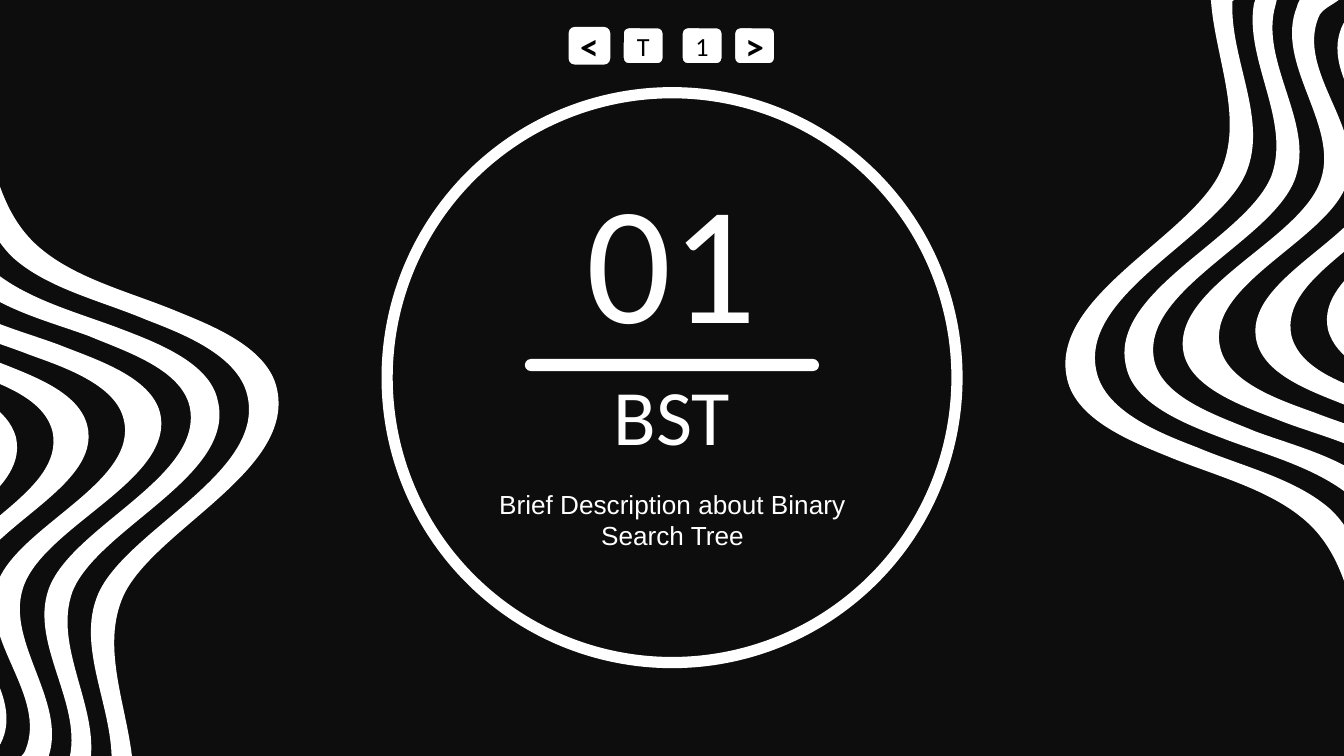
from dataclasses import dataclass
from typing import Optional

from lxml.etree import SubElement
from pptx import Presentation
from pptx.dml.color import RGBColor
from pptx.enum.shapes import MSO_SHAPE as Preset
from pptx.enum.text import MSO_ANCHOR as Anchor, MSO_AUTO_SIZE as AutoSize, PP_ALIGN as Align
from pptx.oxml.ns import qn
from pptx.util import Pt


@dataclass(frozen=True)
class Theme:
    night: RGBColor = RGBColor(0x0D, 0x0D, 0x0D)
    white: RGBColor = RGBColor(0xFF, 0xFF, 0xFF)
    black: RGBColor = RGBColor(0, 0, 0)
    heading_font: str = "Calibri"
    body_font: str = "Arial"
    number_size: float = 90
    title_size: float = 42
    body_size: float = 14
    arrow_size: float = 20


@dataclass(frozen=True)
class Box:
    left: float
    top: float
    width: float
    height: float

    def lengths(self) -> tuple:
        return Pt(self.left), Pt(self.top), Pt(self.width), Pt(self.height)


@dataclass(frozen=True)
class TextStyle:
    font: str
    size: float
    color: RGBColor
    bold: bool = False
    line_spacing: Optional[float] = None
    anchor: Anchor = Anchor.MIDDLE
    inset: float = 7.2


@dataclass(frozen=True)
class Key:
    label: str
    left: float
    arrow: bool = False
    outlined: bool = True


THEME = Theme()
SLIDE_W, SLIDE_H = 720, 405

# Waves use a grid of 0.72 pt, so the slide is 1000 units wide
GRID = Pt(0.72)
TURN_X, TURN_Y = 1000, 571
WAVE_COUNT = 5
MIDDLE_EDGE, LAST_EDGE = 4, 2 * WAVE_COUNT - 1

# Three guide edges: a start, then Bezier triples (control, control, end).
# The edges between them are blended.
OUTER = [(-178, 14), (-130, 10), (-72, 9), (-45, 25), (-3, 66), (-18, 142), (28, 183),
         (55, 207), (96, 217), (130, 231), (157, 242), (199, 258), (206, 289),
         (220, 350), (115, 394), (92, 443), (74, 483), (96, 528), (99, 571),
         (99, 571), (99, 571), (99, 571)]
MIDDLE = [(-178, 75), (-150, 70), (-115, 70), (-93, 84), (-54, 116), (-76, 183), (-42, 217),
          (-20, 238), (16, 246), (45, 257), (70, 267), (112, 280), (119, 307),
          (131, 357), (31, 392), (17, 438), (4, 479), (52, 524), (35, 566),
          (35, 567), (34, 569), (33, 571)]
INNER = [(-178, 145), (-171, 147), (-164, 149), (-158, 154), (-128, 178), (-157, 229), (-134, 258),
         (-121, 274), (-94, 282), (-68, 290), (-43, 299), (-20, 309), (-15, 331),
         (-6, 373), (-81, 395), (-85, 434), (-88, 467), (-35, 494), (-47, 527),
         (-55, 550), (-89, 557), (-114, 571)]

KEYS = [
    Key("1", 365),
    Key("T", 333.4),
    Key("<", 304.6, arrow=True, outlined=False),
    Key(">", 393.1, arrow=True),
]
KEY_TOP, KEY_W, KEY_H = 14.4, 22.3, 20.2


def paint(shape, fill: RGBColor, line: Optional[RGBColor] = None, weight: float = 0) -> None:
    shape.shadow.inherit = False
    shape.fill.solid()
    shape.fill.fore_color.rgb = fill
    if line is None:
        shape.line.fill.background()
    else:
        shape.line.color.rgb = line
        shape.line.width = Pt(weight)


def write(shape, text: str, style: TextStyle) -> None:
    frame = shape.text_frame
    frame.text = text
    frame.word_wrap = True
    frame.auto_size = AutoSize.NONE
    frame.vertical_anchor = style.anchor
    frame.margin_left = frame.margin_right = Pt(style.inset)
    frame.margin_top = frame.margin_bottom = Pt(style.inset)
    paragraph = frame.paragraphs[0]
    paragraph.alignment = Align.CENTER
    if style.line_spacing:
        paragraph.line_spacing = style.line_spacing
    font = paragraph.runs[0].font
    font.name, font.size, font.bold = style.font, Pt(style.size), style.bold
    font.color.rgb = style.color


def wave_edge(index: int) -> list:
    if index <= MIDDLE_EDGE:
        near, far, share = OUTER, MIDDLE, index / MIDDLE_EDGE
    else:
        near, far, share = MIDDLE, INNER, (index - MIDDLE_EDGE) / (LAST_EDGE - MIDDLE_EDGE)
    return [(round(x + (u - x) * share), round(y + (v - y) * share))
            for (x, y), (u, v) in zip(near, far)]


def draw_wave(shapes, index: int, turned: bool) -> None:
    edges = [wave_edge(2 * index), wave_edge(2 * index + 1)[::-1]]
    points = [(TURN_X - x, TURN_Y - y) if turned else (x, y) for edge in edges for x, y in edge]
    builder = shapes.build_freeform(*points[0], scale=GRID)
    builder.add_line_segments(points[1:], close=True)
    wave = builder.convert_to_shape()
    paint(wave, THEME.white)

    # Turn each triple of line segments into one Bezier curve
    outline = next(wave._element.iter(qn("a:path")))
    steps = iter(list(outline))
    for edge in edges:
        next(steps)
        for _ in range(len(edge) // 3):
            triple = [next(steps) for _ in range(3)]
            curve = SubElement(outline, qn("a:cubicBezTo"))
            outline.replace(triple[0], curve)
            for segment in triple:
                curve.append(segment[0])
            for segment in triple[1:]:
                outline.remove(segment)


def draw_key(shapes, key: Key) -> None:
    button = shapes.add_shape(Preset.ROUNDED_RECTANGLE, *Box(key.left, KEY_TOP, KEY_W, KEY_H).lengths())
    paint(button, THEME.white, THEME.night if key.outlined else None, 1.5)
    size = THEME.arrow_size if key.arrow else THEME.body_size
    write(button, key.label, TextStyle(THEME.heading_font, size, THEME.black, bold=key.arrow, inset=0))


def main() -> None:
    deck = Presentation()
    deck.slide_width, deck.slide_height = Pt(SLIDE_W), Pt(SLIDE_H)
    slide = deck.slides.add_slide(deck.slide_layouts[5])
    slide.background.fill.solid()
    slide.background.fill.fore_color.rgb = THEME.night
    shapes = slide.shapes

    # Waves on the left, and the same turned by half a circle on the right
    for turned in (False, True):
        side = shapes.add_group_shape()
        for index in range(WAVE_COUNT):
            draw_wave(side.shapes, index, turned)

    # Ring
    ring = shapes.add_shape(Preset.OVAL, *Box(207.4, 49.7, 305.3, 305.3).lengths())
    paint(ring, THEME.night, THEME.white, 6)

    # Section title, brought in front of the ring
    title = shapes.title
    title.left, title.top, title.width, title.height = Box(198.7, 198.7, 322.6, 55.4).lengths()
    write(title, "BST", TextStyle(THEME.heading_font, THEME.title_size, THEME.white, line_spacing=0.8))
    ring._element.addnext(title._element)

    # Description and section number
    description = shapes.add_textbox(*Box(246.2, 254.2, 228.2, 41.8).lengths())
    write(description, "Brief Description about Binary Search Tree",
          TextStyle(THEME.body_font, THEME.body_size, THEME.white, anchor=Anchor.TOP))
    number = shapes.add_textbox(*Box(270, 109.4, 179.3, 75.6).lengths())
    write(number, "01", TextStyle(THEME.heading_font, THEME.number_size, THEME.white, line_spacing=0.8))

    # Divider
    divider = shapes.add_shape(Preset.ROUNDED_RECTANGLE, *Box(281.2, 192.3, 157.6, 6.5).lengths())
    divider.adjustments[0] = 0.5
    paint(divider, THEME.white)

    # Navigation keys
    for key in KEYS:
        draw_key(shapes, key)

    deck.save("out.pptx")


if __name__ == "__main__":
    main()
